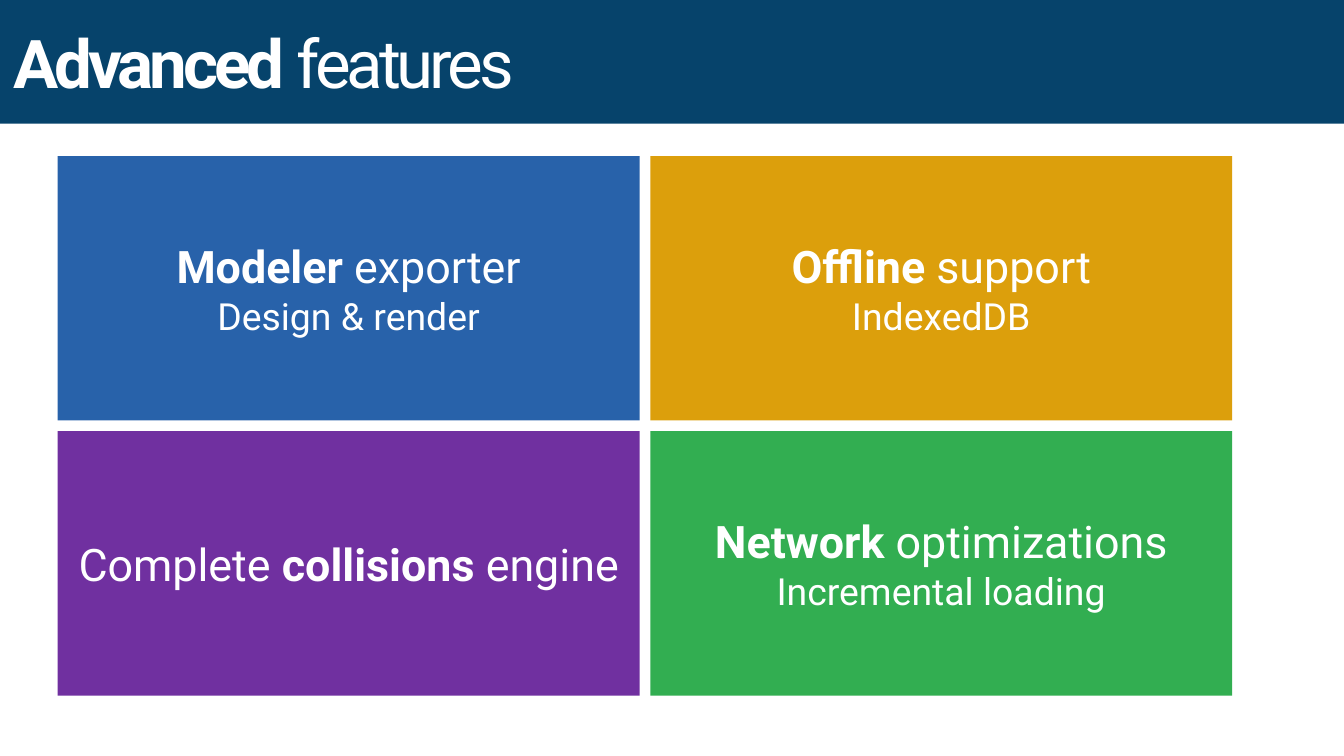
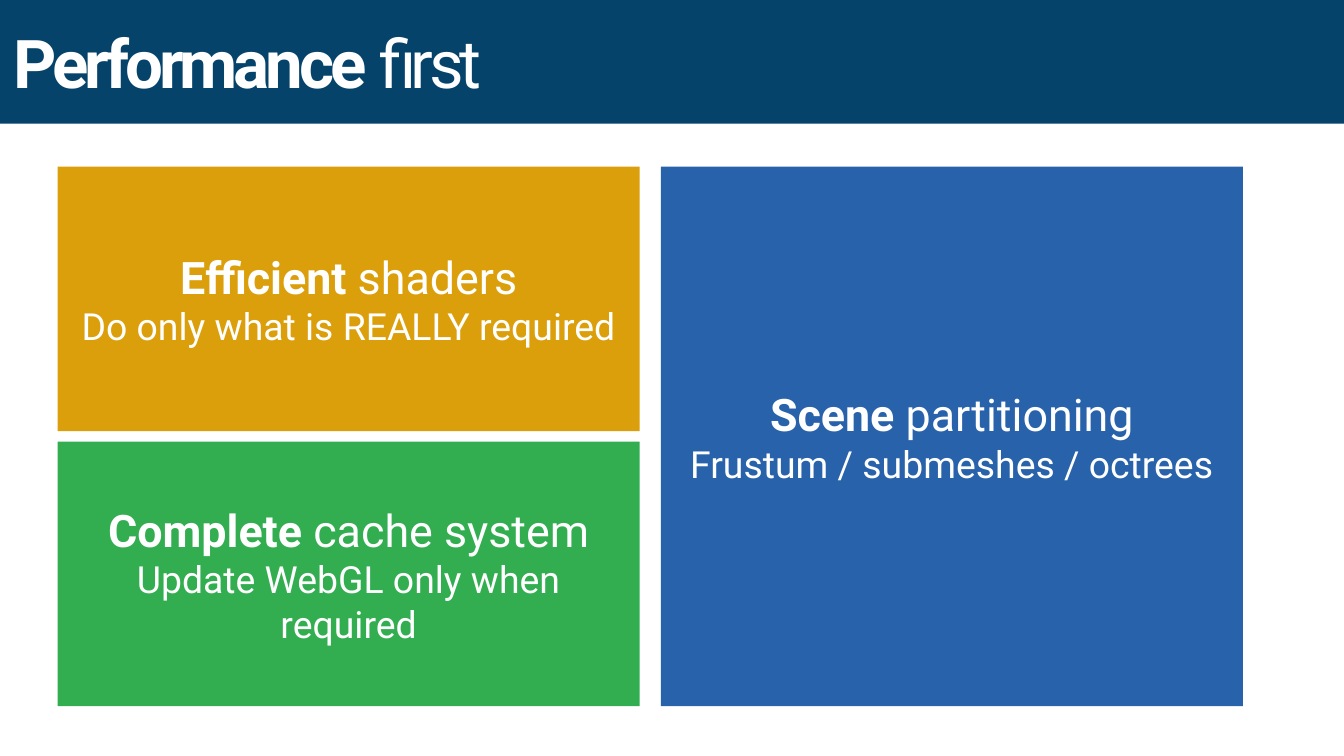
from pptx import Presentation
from pptx.dml.color import RGBColor
from pptx.enum.shapes import MSO_SHAPE
from pptx.enum.text import MSO_ANCHOR, MSO_AUTO_SIZE, PP_ALIGN
from pptx.util import Cm, Pt

COLORS = {
    "band": "06436B",
    "blue": "2862AA",
    "gold": "DC9F0C",
    "green": "32AE51",
    "purple": "7030A0",
    "white": "FFFFFF",
}
FONT = "Roboto"
SLIDE_W, SLIDE_H = 25.4, 14.29
BAND_H = 2.34
LEFT, TILE_W, TILE_H = 1.09, 11, 5
GAP = 0.2


def fill(sp, color):
    sp.fill.solid()
    sp.fill.fore_color.rgb = RGBColor.from_string(COLORS[color])


def add_text(p, text, size=24, bold=False, color="white", spacing=None):
    r = p.add_run()
    r.text = text
    r.font.name = FONT
    r.font.size = Pt(size)
    r.font.bold = bold
    r.font.color.rgb = RGBColor.from_string(COLORS[color])
    if spacing is not None:
        r._r.get_or_add_rPr().set("spc", str(round(spacing * 100)))


def add_slide(prs, strong, rest):
    """Add a slide whose title band starts with a bold word."""
    s = prs.slides.add_slide(prs.slide_layouts[5])
    sp = s.shapes.title
    sp.left, sp.top = Cm(0), Cm(0)
    sp.width, sp.height = Cm(SLIDE_W), Cm(BAND_H)
    fill(sp, "band")
    tf = sp.text_frame
    tf.auto_size = MSO_AUTO_SIZE.NONE
    tf.vertical_anchor = MSO_ANCHOR.MIDDLE
    p = tf.paragraphs[0]
    p.alignment = PP_ALIGN.LEFT
    add_text(p, strong, size=36, bold=True, spacing=-2.2)
    add_text(p, rest, size=36, spacing=-2.2)
    return s


def add_tile(s, color, heading, detail="", col=0, row=0, rows=1,
             top=2.95, col_gap=GAP, line_break=False):
    """Add a grid tile; heading is a list of (text, bold) pairs."""
    sp = s.shapes.add_shape(
        MSO_SHAPE.RECTANGLE,
        Cm(LEFT + col * (TILE_W + col_gap)),
        Cm(top + row * (TILE_H + GAP)),
        Cm(TILE_W),
        Cm(rows * (TILE_H + GAP) - GAP),
    )
    sp.shadow.inherit = False
    fill(sp, color)
    sp.line.fill.background()
    tf = sp.text_frame
    tf.word_wrap = True
    tf.vertical_anchor = MSO_ANCHOR.MIDDLE
    p = tf.paragraphs[0]
    p.alignment = PP_ALIGN.CENTER
    for text, bold in heading:
        add_text(p, text, bold=bold)
    if detail:
        if line_break:
            p.add_line_break()
        else:
            p = tf.add_paragraph()
            p.alignment = PP_ALIGN.CENTER
        add_text(p, detail, size=20)


def add_features(prs):
    s = add_slide(prs, "Advanced", " features")
    add_tile(s, "gold", [("Offline ", True), ("support", False)],
             "IndexedDB", col=1, line_break=True)
    add_tile(s, "green", [("Network ", True), ("optimizations", False)],
             "Incremental loading", col=1, row=1, line_break=True)
    add_tile(s, "blue", [("Modeler ", True), ("exporter", False)],
             "Design & render")
    add_tile(s, "purple", [("Complete ", False), ("collisions ", True),
                           ("engine", False)], row=1)


def add_performance(prs):
    s = add_slide(prs, "Performance", " first")
    grid = {"top": 3.15, "col_gap": 2 * GAP}
    add_tile(s, "gold", [("Efficient ", True), ("shaders", False)],
             "Do only what is REALLY required", **grid)
    add_tile(s, "blue", [("Scene ", True), ("partitioning", False)],
             "Frustum / submeshes / octrees", col=1, rows=2, **grid)
    add_tile(s, "green", [("Complete ", True), ("cache system", False)],
             "Update WebGL only when required", row=1, **grid)


def main():
    prs = Presentation()
    prs.slide_width, prs.slide_height = Cm(SLIDE_W), Cm(SLIDE_H)
    add_features(prs)
    add_performance(prs)
    prs.save("out.pptx")


if __name__ == "__main__":
    main()
